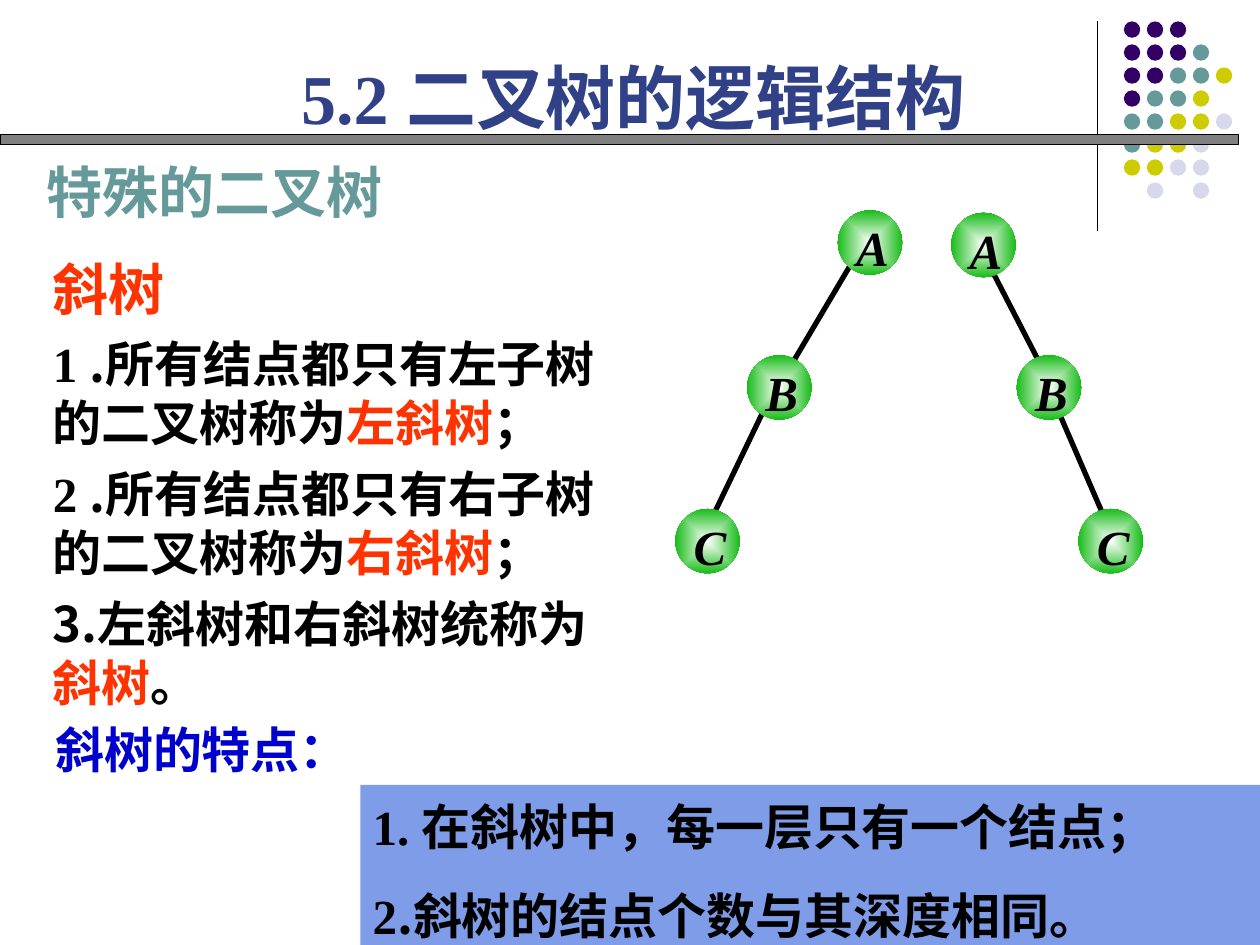
"""Build the slide on skewed binary trees."""
from dataclasses import dataclass
from typing import NamedTuple

import lxml.etree
import pptx
import pptx.dml.color
import pptx.enum.shapes
import pptx.enum.text
import pptx.oxml
import pptx.oxml.ns
import pptx.util

Inches = pptx.util.Inches
Pt = pptx.util.Pt
SHAPE = pptx.enum.shapes.MSO_SHAPE
ALIGN = pptx.enum.text.PP_ALIGN
ANCHOR = pptx.enum.text.MSO_ANCHOR
qn = pptx.oxml.ns.qn


@dataclass(frozen=True)
class Theme:
    latin: str = "Times New Roman"
    cjk: str = "Noto Sans CJK SC"
    ink: str = "000000"
    title: str = "314187"
    teal: str = "669999"
    red: str = "FF3300"
    blue: str = "0000CC"
    panel: str = "7E9CE8"
    bar: str = "808080"
    purple: str = "330066"
    yellow: str = "CCCC00"
    lilac: str = "D8D8EC"
    node_core: str = "FFFFFF"
    node_rim: str = "00B400"
    title_size: int = 40
    head_size: int = 32
    body_size: int = 28
    line_height: float = 1.2
    drop: float = 0.11


class Box(NamedTuple):
    left: float
    top: float
    width: float
    height: float


class Run(NamedTuple):
    text: str
    color: str = ""
    font: str = ""


class Node(NamedTuple):
    label: str
    left: float
    top: float


class Edge(NamedTuple):
    x1: float
    y1: float
    x2: float
    y2: float


@dataclass(frozen=True)
class Tree:
    nodes: tuple[Node, ...]
    edges: tuple[Edge, ...]


T = Theme()
DOT_ROWS = ("PPP", "PPPT", "PPTTY", "PTTY", "TTYYL", "TYYL", "YYLL", " L L")
DOT_COLORS = {"P": T.purple, "T": T.teal, "Y": T.yellow, "L": T.lilac}
TREES = (
    Tree((Node("A", 6.65, 1.67), Node("B", 5.93, 2.82), Node("C", 5.36, 4.04)),
         (Edge(6.74, 2.12, 6.29, 2.88), Edge(6.05, 3.28, 5.68, 4.05))),
    Tree((Node("A", 7.55, 1.69), Node("B", 8.07, 2.82), Node("C", 8.56, 4.04)),
         (Edge(7.89, 2.18, 8.23, 2.84), Edge(8.42, 3.31, 8.77, 4.12))),
)


def rgb(color: str) -> pptx.dml.color.RGBColor:
    """Turn a hex string into a colour."""
    return pptx.dml.color.RGBColor.from_string(color)


def inches(values: tuple[float, ...]) -> list[int]:
    """Turn numbers into lengths."""
    return [Inches(v) for v in values]


def place(sp, box: Box) -> None:
    """Move and size a shape."""
    sp.left, sp.top, sp.width, sp.height = inches(box)


def frame(sp, *, size: int = 0, side: float = 0.1, top: float = 0.05,
          bottom: float = 0.05, anchor=ANCHOR.TOP):
    """Set up a text frame, lowering its first line in step with the type size."""
    tf = sp.text_frame
    tf.word_wrap = True
    tf.auto_size = pptx.enum.text.MSO_AUTO_SIZE.NONE
    tf.vertical_anchor = anchor
    tf.margin_left = tf.margin_right = Inches(side)
    tf.margin_top = Inches(top + T.drop * size / 72)
    tf.margin_bottom = Inches(bottom)
    return tf


def add_text(tf, *runs: Run, size: int, color: str = T.ink, before: float = 0,
             align=ALIGN.LEFT, italic: bool = False, fixed: bool = True) -> None:
    """Write one paragraph into a text frame."""
    first = not tf.paragraphs[0].runs
    p = tf.paragraphs[0] if first else tf.add_paragraph()
    pPr = p._p.get_or_add_pPr()
    pPr.set("marL", "0")
    pPr.set("indent", "0")
    lxml.etree.SubElement(pPr, qn("a:buNone"))
    p.alignment = align
    p.space_before = Pt(0 if first else before)
    if fixed:
        p.line_spacing = Pt(size * T.line_height)
    for run in runs:
        r = p.add_run()
        r.text = run.text
        r.font.size, r.font.bold, r.font.italic = Pt(size), True, italic
        r.font.color.rgb = rgb(run.color or color)
        r.font.name = run.font or T.latin
        ea = lxml.etree.SubElement(r.font._element, qn("a:ea"))
        ea.set("typeface", T.cjk)


def add_box(s, box: Box, kind=SHAPE.RECTANGLE, fill: str = T.panel):
    """Draw a plain filled shape without outline."""
    sp = s.shapes.add_shape(kind, *inches(box))
    sp.shadow.inherit = False
    sp.fill.solid()
    sp.fill.fore_color.rgb = rgb(fill)
    sp.line.fill.background()
    return sp


def add_line(s, edge: Edge, width: float) -> None:
    """Draw a straight black line."""
    kind = pptx.enum.shapes.MSO_CONNECTOR.STRAIGHT
    c = s.shapes.add_connector(kind, *inches(edge))
    c.line.color.rgb = rgb(T.ink)
    c.line.width = Pt(width)
    lxml.etree.SubElement(c._element.spPr, qn("a:effectLst"))


def add_node(s, node: Node) -> None:
    """Draw a glowing tree node and its letter."""
    sp = add_box(s, Box(node.left, node.top, 0.51, 0.51), SHAPE.OVAL, T.node_rim)
    sp.rotation = 352.6
    solid = sp._element.spPr.find(qn("a:solidFill"))
    grad = pptx.oxml.parse_xml(
        '<a:gradFill xmlns:a="http://schemas.openxmlformats.org/drawingml/2006/main"><a:gsLst>'
        f'<a:gs pos="0"><a:srgbClr val="{T.node_core}"/></a:gs>'
        f'<a:gs pos="100000"><a:srgbClr val="{T.node_rim}"/></a:gs></a:gsLst>'
        '<a:path path="rect"><a:fillToRect l="50000" t="50000" r="50000" b="50000"/>'
        '</a:path></a:gradFill>')
    solid.getparent().replace(solid, grad)
    label = s.shapes.add_textbox(*inches((node.left + 0.06, node.top - 0.04, 0.43, 0.6)))
    tf = frame(label, side=0, top=0.06, bottom=0, anchor=ANCHOR.MIDDLE)
    add_text(tf, Run(node.label), size=T.body_size, align=ALIGN.CENTER, italic=True, fixed=False)


def add_decor(s) -> None:
    """Draw the corner line, the dot pattern and the bar."""
    add_line(s, Edge(8.71, 0.17, 8.71, 1.83), 0.75)
    pitch = 0.73 / 4
    for i, row in enumerate(DOT_ROWS):
        for j, key in enumerate(row):
            if key in DOT_COLORS:
                box = Box(8.92 + j * pitch, 0.17 + i * pitch, 0.13, 0.13)
                add_box(s, box, SHAPE.OVAL, DOT_COLORS[key])
    bar = add_box(s, Box(0, 1.07, 9.83, 0.08), fill=T.bar)
    bar.line.color.rgb = rgb(T.ink)
    bar.line.width = Pt(0.75)


def add_heading(s, box: Box, text: str, size: int, color: str) -> None:
    """Write a one-line heading."""
    tf = frame(s.shapes.add_textbox(*inches(box)), size=size)
    add_text(tf, Run(text), size=size, color=color)


def main() -> None:
    """Build and save the slide."""
    prs = pptx.Presentation()
    prs.slide_width, prs.slide_height = Inches(10), Inches(7.5)
    s = prs.slides.add_slide(prs.slide_layouts[1])
    title, body = s.placeholders
    add_decor(s)

    place(title, Box(2.29, 0.32, 6.38, 0.77))
    add_text(frame(title, size=T.title_size), Run("5.2 二叉树的逻辑结构"),
             size=T.title_size, color=T.title, align=ALIGN.JUSTIFY)
    add_heading(s, Box(0.27, 1.15, 4.33, 0.64), "特殊的二叉树", T.head_size, T.teal)

    place(body, Box(0.42, 1.92, 4.35, 3.73))
    tf = frame(body, size=T.head_size, side=0)
    add_text(tf, Run("斜树"), size=T.head_size, color=T.red)
    items = (
        (Run("1 "), Run(".所有结点都只有左子树的二叉树称为", font=T.cjk),
         Run("左斜树", T.red), Run("；")),
        (Run("2 "), Run(".所有结点都只有右子树的二叉树称为", font=T.cjk),
         Run("右斜树", T.red), Run("；")),
        (Run("3.左斜树和右斜树统称为", font=T.cjk), Run("斜树", T.red), Run("。")),
    )
    for item in items:
        add_text(tf, *item, size=T.body_size, before=7)

    tf = frame(add_box(s, Box(2.86, 6.23, 7.14, 1.27)), size=T.body_size)
    for item in ((Run("1. "), Run("在斜树中，每一层只有一个结点；", font=T.cjk)),
                 (Run("2"), Run(".斜树的结点个数与其深度相同。", font=T.cjk))):
        add_text(tf, *item, size=T.body_size, before=17.5)
    add_heading(s, Box(0.34, 5.62, 4.17, 0.57), "斜树的特点：", T.body_size, T.blue)

    for tree in TREES:
        for edge in tree.edges:
            add_line(s, edge, 3)
        for node in tree.nodes:
            add_node(s, node)
    prs.save("out.pptx")


if __name__ == "__main__":
    main()
